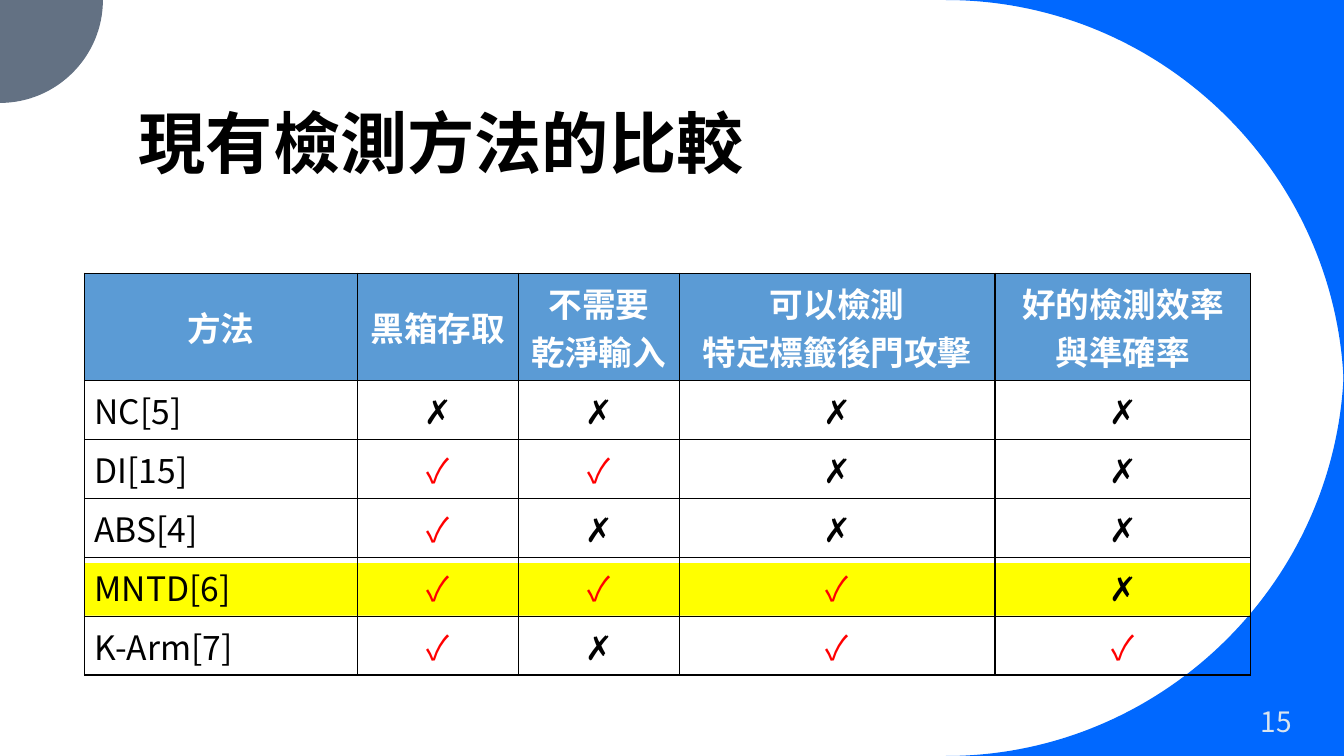
import math

from lxml import etree
from pptx import Presentation
from pptx.dml import color as dml
from pptx.enum import shapes, text
from pptx.oxml import ns
from pptx.util import Pt

FONT = "Noto Sans CJK TC"
BLUE, GRAY, HEAD = "0068FF", "637183", "5B9BD5"
BLACK, WHITE, RED, YELLOW = "000000", "FFFFFF", "FF0000", "FFFF00"
LEFT, MID, RIGHT = text.PP_ALIGN.LEFT, text.PP_ALIGN.CENTER, text.PP_ALIGN.RIGHT
CENTER, BOTTOM = text.MSO_ANCHOR.MIDDLE, text.MSO_ANCHOR.BOTTOM
WIDE, HIGH = 960, 540
BEND = 0.55

HEADS = ["方法", "黑箱存取", "不需要\n乾淨輸入", "可以檢測\n特定標籤後門攻擊", "好的檢測效率\n與準確率"]
MARKS = {
    "NC[5]": "✗✗✗✗",
    "DI[15]": "✓✓✗✗",
    "ABS[4]": "✓✗✗✗",
    "MNTD[6]": "✓✓✓✗",
    "K-Arm[7]": "✓✗✓✓",
}
COLS = [195, 115, 115, 225.5, 182.8]
ROW = 29.5


def rgb(code):
    """Turn a hex string into a colour."""
    return dml.RGBColor.from_string(code)


def write(frame, words, size=24, color=BLACK, bold=False, align=LEFT, space=None):
    """Fill a text frame, one paragraph per line."""
    for i, line in enumerate(words.split("\n")):
        para = frame.paragraphs[0] if i == 0 else frame.add_paragraph()
        para.alignment = align
        para.line_spacing = space
        run = para.add_run()
        run.text = line
        font = run.font
        font.name, font.size, font.bold = FONT, Pt(size), bold
        font.color.rgb = rgb(color)
        east = etree.SubElement(run._r.get_or_add_rPr(), ns.qn("a:ea"))
        east.set("typeface", FONT)


class Deck:
    """Hold the file, its current slide and the style of its elements."""

    def __init__(self):
        """Open a file with one blank slide."""
        self.file = Presentation()
        self.file.slide_width, self.file.slide_height = Pt(WIDE), Pt(HIGH)
        self.slide = self.file.slides.add_slide(self.file.slide_layouts[6])
        self.items = self.slide.shapes

    def paint(self, shape, color):
        """Give a shape a plain fill without line or shadow."""
        shape.shadow.inherit = False
        shape.fill.solid()
        shape.fill.fore_color.rgb = rgb(color)
        shape.line.fill.background()

    def corner(self, x, y, radius, start, tip, color):
        """Draw the area between a quarter arc and a tip."""
        turn = math.radians(start)
        cos, sin = round(math.cos(turn)), round(math.sin(turn))
        steps = [(1, 0), (1, BEND), (BEND, 1), (0, 1)]
        arc = [
            (Pt(x + radius * (p * cos - q * sin)), Pt(y + radius * (p * sin + q * cos)))
            for p, q in steps
        ]
        pen = self.items.build_freeform(Pt(tip[0]), Pt(tip[1]))
        pen.add_line_segments(arc, close=True)
        shape = pen.convert_to_shape()
        lines = list(shape._element.iter(ns.qn("a:lnTo")))[1:4]
        curve = etree.Element(ns.qn("a:cubicBezTo"))
        lines[0].addprevious(curve)
        for line in lines:
            curve.append(line[0])
            line.getparent().remove(line)
        self.paint(shape, color)

    def bar(self, x, y, w, h, color):
        """Draw a plain rectangle."""
        kind = shapes.MSO_SHAPE.RECTANGLE
        self.paint(self.items.add_shape(kind, Pt(x), Pt(y), Pt(w), Pt(h)), color)

    def label(self, x, y, w, h, words, anchor=CENTER, **form):
        """Add a text box."""
        frame = self.items.add_textbox(Pt(x), Pt(y), Pt(w), Pt(h)).text_frame
        frame.word_wrap = True
        frame.vertical_anchor = anchor
        write(frame, words, **form)

    def cell(self, cell, words, fill=None, anchor=CENTER, **form):
        """Fill a table cell and draw its borders."""
        props = cell._tc.get_or_add_tcPr()
        for side in ("lnL", "lnR", "lnT", "lnB"):
            edge = etree.SubElement(props, ns.qn("a:" + side), w=str(Pt(1)))
            solid = etree.SubElement(edge, ns.qn("a:solidFill"))
            etree.SubElement(solid, ns.qn("a:srgbClr"), val=BLACK)
        if fill:
            cell.fill.solid()
            cell.fill.fore_color.rgb = rgb(fill)
        else:
            cell.fill.background()
        cell.vertical_anchor = anchor
        write(cell.text_frame, words, **form)

    def grid(self, x, y, high):
        """Add the table of methods and marks."""
        size = Pt(x), Pt(y), Pt(sum(COLS)), Pt(high)
        frame = self.items.add_table(len(MARKS) + 1, len(COLS), *size)
        table = frame.table
        table.horz_banding = False
        for col, wide in zip(table.columns, COLS):
            col.width = Pt(wide)
        for row in table.rows:
            row.height = Pt(ROW)
        frame.height = Pt(high)
        for j, head in enumerate(HEADS):
            self.cell(table.cell(0, j), head, HEAD, color=WHITE, bold=True, align=MID)
        for i, (name, marks) in enumerate(MARKS.items(), 1):
            self.cell(table.cell(i, 0), name, anchor=text.MSO_ANCHOR.TOP)
            for j, mark in enumerate(marks, 1):
                tint = RED if mark == "✓" else BLACK
                self.cell(table.cell(i, j), mark, color=tint, align=MID)


def main():
    """Build the slide and save it."""
    deck = Deck()
    arc = 284.4
    deck.corner(WIDE - arc, arc, arc, -90, (WIDE, 0), BLUE)
    deck.corner(WIDE - arc, HIGH - arc, arc, 0, (WIDE, HIGH), BLUE)
    deck.corner(0, 0, 73.5, 0, (0, 0), GRAY)
    deck.bar(60.3, 402.3, sum(COLS), 37.5, YELLOW)
    deck.grid(60.3, 195.1, 244.8)
    deck.label(92, 30.2, 770, 104.4, "現有檢測方法的比較", BOTTOM, size=48, bold=True, space=0.9)
    deck.label(799.5, 500.7, 130.3, 28.8, "15", size=20, color="DAE5EF", align=RIGHT)
    deck.file.save("out.pptx")


if __name__ == "__main__":
    main()
